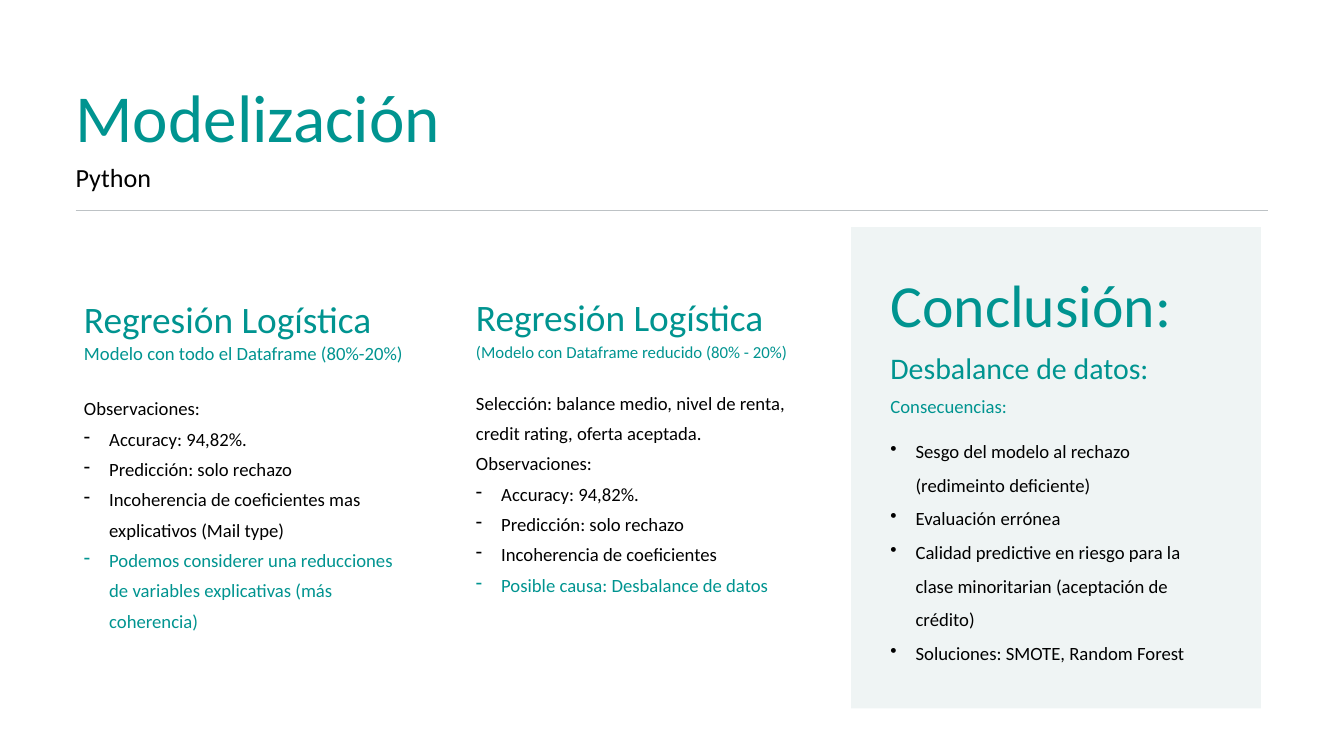
from dataclasses import dataclass

from lxml.etree import SubElement
from pptx import Presentation
from pptx.dml.color import RGBColor
from pptx.enum.shapes import MSO_CONNECTOR, MSO_SHAPE
from pptx.oxml.ns import qn
from pptx.util import Pt


@dataclass(frozen=True)
class Theme:
    font: str = "Calibri"
    teal: str = "009490"
    ink: str = "000000"
    rule: str = "BDC2C5"
    panel: str = "EFF4F4"
    title: int = 72
    lead: int = 64
    head: int = 40
    topic: int = 32
    intro: int = 28
    body: int = 20
    small: int = 18


THEME = Theme()
INDENT = 27
STEP = Pt(32.5)  # line pitch of the model columns


def color(code):
    return RGBColor.from_string(code)


def add_box(slide, left, top, width, height):
    """Add an empty, wrapping text frame without margins."""
    frame = slide.shapes.add_textbox(
        Pt(left), Pt(top), Pt(width), Pt(height)).text_frame
    frame.word_wrap = True
    frame.margin_left = frame.margin_right = 0
    frame.margin_top = frame.margin_bottom = 0
    return frame


def add_run(para, text, size, tone):
    run = para.add_run()
    run.text = text
    run.font.name = THEME.font
    run.font.size = Pt(size)
    run.font.color.rgb = color(tone)


def add_bullet(para, mark):
    props = para._p.get_or_add_pPr()
    props.set("marL", str(Pt(INDENT)))
    props.set("indent", str(-Pt(INDENT)))
    SubElement(props, qn("a:buChar")).set("char", mark)


def add_line(slide, place, text, size, pitch, tone=THEME.teal):
    """Add a heading of one line."""
    para = add_box(slide, *place).paragraphs[0]
    para.line_spacing = Pt(pitch)
    add_run(para, text, size, tone)


def add_list(slide, place, items, pitch):
    """Add paragraphs given as (bullet mark, text, colour)."""
    frame = add_box(slide, *place)
    for num, (mark, text, tone) in enumerate(items):
        para = frame.add_paragraph() if num else frame.paragraphs[0]
        if mark:
            add_bullet(para, mark)
        para.line_spacing = pitch
        add_run(para, text, THEME.body, tone)


def add_rule(slide, left, right, top):
    line = slide.shapes.add_connector(
        MSO_CONNECTOR.STRAIGHT, Pt(left), Pt(top), Pt(right), Pt(top))
    line.line.color.rgb = color(THEME.rule)
    line.line.width = Pt(0.75)
    SubElement(line._element.spPr, qn("a:effectLst"))


def add_panel(slide, left, top, width, height):
    panel = slide.shapes.add_shape(
        MSO_SHAPE.RECTANGLE, Pt(left), Pt(top), Pt(width), Pt(height))
    panel.shadow.inherit = False
    panel.fill.solid()
    panel.fill.fore_color.rgb = color(THEME.panel)
    panel.line.fill.background()


def add_model(slide, left, width, tops, note, size, items):
    """Add a model column: heading, note and remarks."""
    head, sub, body = tops
    add_line(slide, (left, head, width, 70), "Regresión Logística",
             THEME.head, 76.8)
    add_line(slide, (left, sub, width, 22), note, size, 21.6)
    add_list(slide, (left, body, width, STEP.pt * 8), items, STEP)


def main():
    deck = Presentation()
    deck.slide_width, deck.slide_height = Pt(1440), Pt(810)
    slide = deck.slides.add_slide(deck.slide_layouts[6])
    ink, teal = THEME.ink, THEME.teal

    # Title block
    add_rule(slide, 81, 1359, 225.5)
    add_line(slide, (81, 81, 858, 87), "Modelización", THEME.title, 86.4)
    add_line(slide, (81, 170.5, 858, 36), "Python", THEME.intro, 36.4, ink)

    # Model with all the data
    shared = [
        ("-", "Accuracy: 94,82%.", ink),
        ("-", "Predicción: solo rechazo", ink),
    ]
    add_model(slide, 90, 355, (288, 368.5, 417),
              "Modelo con todo el Dataframe (80%-20%)", THEME.body, [
                  ("", "Observaciones:", ink),
                  *shared,
                  ("-", "Incoherencia de coeficientes mas explicativos "
                        "(Mail type)", ink),
                  ("-", "Podemos considerer una reducciones de variables "
                        "explicativas (más coherencia)", teal),
              ])

    # Model with reduced data
    add_model(slide, 510, 376.5, (286, 366, 411),
              "(Modelo con Dataframe reducido (80% - 20%)", THEME.small, [
                  ("", "Selección: balance medio, nivel de renta, "
                       "credit rating, oferta aceptada.", ink),
                  ("", "Observaciones:", ink),
                  *shared,
                  ("-", "Incoherencia de coeficientes", ink),
                  ("-", "Posible causa: Desbalance de datos", teal),
              ])

    # Conclusion panel
    left, width = 954, 355
    add_panel(slide, 912, 243.5, 439, 515.5)
    add_line(slide, (left, 286.5, width, 78), "Conclusión:", THEME.lead, 76.8)
    add_line(slide, (left, 375, width, 39), "Desbalance de datos:",
             THEME.topic, 38.4)
    add_line(slide, (left, 425, width, 23), "Consecuencias:", THEME.body, 21.6)
    effects = (
        "Sesgo del modelo al rechazo (redimeinto deficiente)",
        "Evaluación errónea",
        "Calidad predictive en riesgo para la clase minoritarian "
        "(aceptación de crédito)",
        "Soluciones: SMOTE, Random Forest",
    )
    add_list(slide, (left, 459.5, width, 251),
             [("•", text, ink) for text in effects], 1.5)

    deck.save("out.pptx")


if __name__ == "__main__":
    main()
